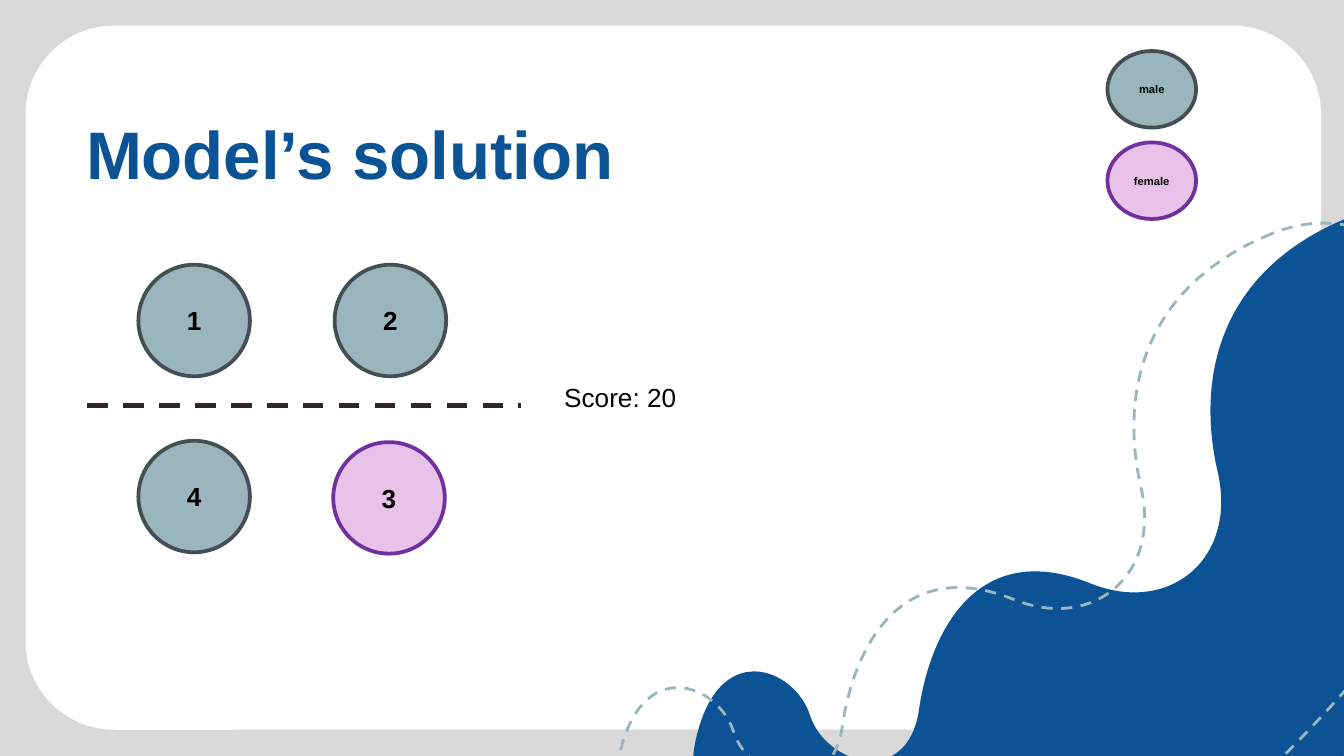
from dataclasses import dataclass
from math import cos, radians, sin

from lxml import etree
from pptx import Presentation
from pptx.dml.color import RGBColor
from pptx.enum.dml import MSO_LINE
from pptx.enum.shapes import MSO_CONNECTOR, MSO_SHAPE
from pptx.enum.text import MSO_ANCHOR, MSO_AUTO_SIZE, PP_ALIGN
from pptx.oxml.ns import qn
from pptx.shapes.autoshape import Shape
from pptx.slide import Slide
from pptx.util import Emu, Pt

EMU_PER_PX = 9144
TITLE_ONLY = 5
FONT = "Arial"

GREY = RGBColor(0xD9, 0xD9, 0xD9)
WHITE = RGBColor(0xFF, 0xFF, 0xFF)
BLACK = RGBColor(0x00, 0x00, 0x00)
BLUE = RGBColor(0x0B, 0x53, 0x94)
TEAL = RGBColor(0x9A, 0xB5, 0xBE)
SLATE = RGBColor(0x43, 0x4F, 0x53)
PINK = RGBColor(0xE8, 0xC2, 0xE8)
PURPLE = RGBColor(0x70, 0x30, 0xA0)
BROWN = RGBColor(0x2E, 0x27, 0x23)

DASH = MSO_LINE.DASH
OVAL = MSO_SHAPE.OVAL
ROUNDED = MSO_SHAPE.ROUNDED_RECTANGLE
STRAIGHT = MSO_CONNECTOR.STRAIGHT
MIDDLE = MSO_ANCHOR.MIDDLE
GROW = MSO_AUTO_SIZE.SHAPE_TO_FIT_TEXT
NO_AUTOFIT = MSO_AUTO_SIZE.NONE
LEFT = PP_ALIGN.LEFT
CENTER = PP_ALIGN.CENTER

Point = tuple[int, int]


@dataclass(frozen=True)
class Style:
    fill: RGBColor
    line: RGBColor


@dataclass(frozen=True)
class Person:
    label: str
    left: int
    top: int
    width: int
    height: int
    size: int
    style: Style


MALE = Style(TEAL, SLATE)
FEMALE = Style(PINK, PURPLE)

PEOPLE = [
    Person("1", 103, 197, 83, 83, 14, MALE),
    Person("2", 249, 197, 83, 83, 14, MALE),
    Person("4", 103, 328, 83, 83, 14, MALE),
    Person("3", 248, 329, 83, 83, 14, FEMALE),
    Person("male", 824, 38, 66, 57, 6, MALE),
    Person("female", 824, 106, 66, 57, 6, FEMALE),
]

WAVE_LEFT, WAVE_TOP, WAVE_WIDTH, WAVE_HEIGHT = 492, 254, 728, 378
WAVE_ROTATION = 312.7
WAVE_START: Point = (1003, 162)
WAVE_CURVES: list[tuple[Point, Point, Point]] = [
    ((903, 203), (891, 286), (906, 351)),
    ((921, 416), (870, 458), (811, 434)),
    ((729, 401), (693, 467), (684, 527)),
    ((676, 587), (615, 569), (603, 533)),
    ((592, 497), (533, 473), (517, 554)),
    ((501, 635), (633, 775), (772, 723)),
    ((911, 671), (1129, 456), (1155, 348)),
    ((1181, 240), (1100, 122), (1003, 162)),
]
DASHED_WAVE_SHIFT: Point = (-57, 12)


def px(value: float) -> Emu:
    return Emu(round(value * EMU_PER_PX))


def apply(target: object, values: dict[str, object]) -> None:
    for name, value in values.items():
        setattr(target, name, value)


def write(shape: Shape, text: str, size: int, color: RGBColor, bold: bool,
          align: PP_ALIGN, frame_format: dict[str, object]) -> None:
    frame = shape.text_frame
    apply(frame, {"word_wrap": True, **frame_format})
    para = frame.paragraphs[0]
    para.alignment = align
    span = para.add_run()
    span.text = text
    apply(span.font, {"name": FONT, "size": Pt(size), "bold": bold})
    span.font.color.rgb = color


def paint(shape: Shape, fill: RGBColor | None, line: RGBColor | None,
          line_width: float = 2) -> None:
    shape.shadow.inherit = False
    if fill is None:
        shape.fill.background()
    else:
        shape.fill.solid()
        shape.fill.fore_color.rgb = fill
    if line is None:
        shape.line.fill.background()
    else:
        shape.line.color.rgb = line
        shape.line.width = Pt(line_width)


def add_card(page: Slide) -> None:
    card = page.shapes.add_shape(ROUNDED, px(19), px(19), px(964), px(524))
    card.adjustments[0] = 0.126
    paint(card, WHITE, None)


def unrotate(point: Point) -> tuple[Emu, Emu]:
    angle = radians(-WAVE_ROTATION)
    across = point[0] - WAVE_LEFT - WAVE_WIDTH / 2
    down = point[1] - WAVE_TOP - WAVE_HEIGHT / 2
    return (px(across * cos(angle) - down * sin(angle) + WAVE_WIDTH / 2),
            px(across * sin(angle) + down * cos(angle) + WAVE_HEIGHT / 2))


def add_command(outline: etree.ElementBase, tag: str, points: tuple[Point, ...]) -> None:
    command = etree.SubElement(outline, qn(tag))
    for point in points:
        x, y = unrotate(point)
        etree.SubElement(command, qn("a:pt"), x=str(int(x)), y=str(int(y)))


def add_wave(page: Slide, shift: Point) -> Shape:
    builder = page.shapes.build_freeform(*unrotate(WAVE_START))
    builder.add_line_segments([unrotate(curve[-1]) for curve in WAVE_CURVES])
    wave = builder.convert_to_shape()
    apply(wave, {"left": px(WAVE_LEFT + shift[0]), "top": px(WAVE_TOP + shift[1]),
                 "width": px(WAVE_WIDTH), "height": px(WAVE_HEIGHT),
                 "rotation": WAVE_ROTATION})
    outline = next(wave._element.iter(qn("a:path")))
    for command in list(outline):
        outline.remove(command)
    outline.set("w", str(int(wave.width)))
    outline.set("h", str(int(wave.height)))
    add_command(outline, "a:moveTo", (WAVE_START,))
    for curve in WAVE_CURVES:
        add_command(outline, "a:cubicBezTo", curve)
    add_command(outline, "a:close", ())
    return wave


def add_title(page: Slide) -> None:
    title = page.shapes.title
    page.shapes._spTree.append(title._element)
    apply(title, {"left": px(54), "top": px(-14), "width": px(821), "height": px(255)})
    margins = {f"margin_{side}": px(10) for side in ("left", "right", "top", "bottom")}
    write(title, "Model’s solution", 36, BLUE, True, LEFT,
          {"vertical_anchor": MIDDLE, "auto_size": NO_AUTOFIT, **margins})


def add_person(page: Slide, person: Person) -> None:
    circle = page.shapes.add_shape(OVAL, px(person.left), px(person.top),
                                   px(person.width), px(person.height))
    paint(circle, person.style.fill, person.style.line)
    write(circle, person.label, person.size, BLACK, True, CENTER,
          {"vertical_anchor": MIDDLE})


def add_divider(page: Slide) -> None:
    divider = page.shapes.add_connector(STRAIGHT, px(65), px(302), px(388), px(302))
    divider.line.color.rgb = BROWN
    apply(divider.line, {"width": Pt(2.75), "dash_style": DASH})
    etree.SubElement(divider._element.spPr, qn("a:effectLst"))


def add_score(page: Slide) -> None:
    box = page.shapes.add_textbox(px(410), px(279), px(166), px(34))
    write(box, "Score: 20", 14, BLACK, False, LEFT, {"auto_size": GROW})


def main() -> None:
    deck = Presentation()
    apply(deck, {"slide_width": px(1000), "slide_height": px(562.5)})
    page = deck.slides.add_slide(deck.slide_layouts[TITLE_ONLY])
    page.background.fill.solid()
    page.background.fill.fore_color.rgb = GREY
    add_card(page)
    paint(add_wave(page, (0, 0)), BLUE, None)
    dashed_wave = add_wave(page, DASHED_WAVE_SHIFT)
    paint(dashed_wave, None, TEAL, 1.5)
    dashed_wave.line.dash_style = DASH
    add_title(page)
    for person in PEOPLE:
        add_person(page, person)
    add_divider(page)
    add_score(page)
    deck.save("out.pptx")


if __name__ == "__main__":
    main()
